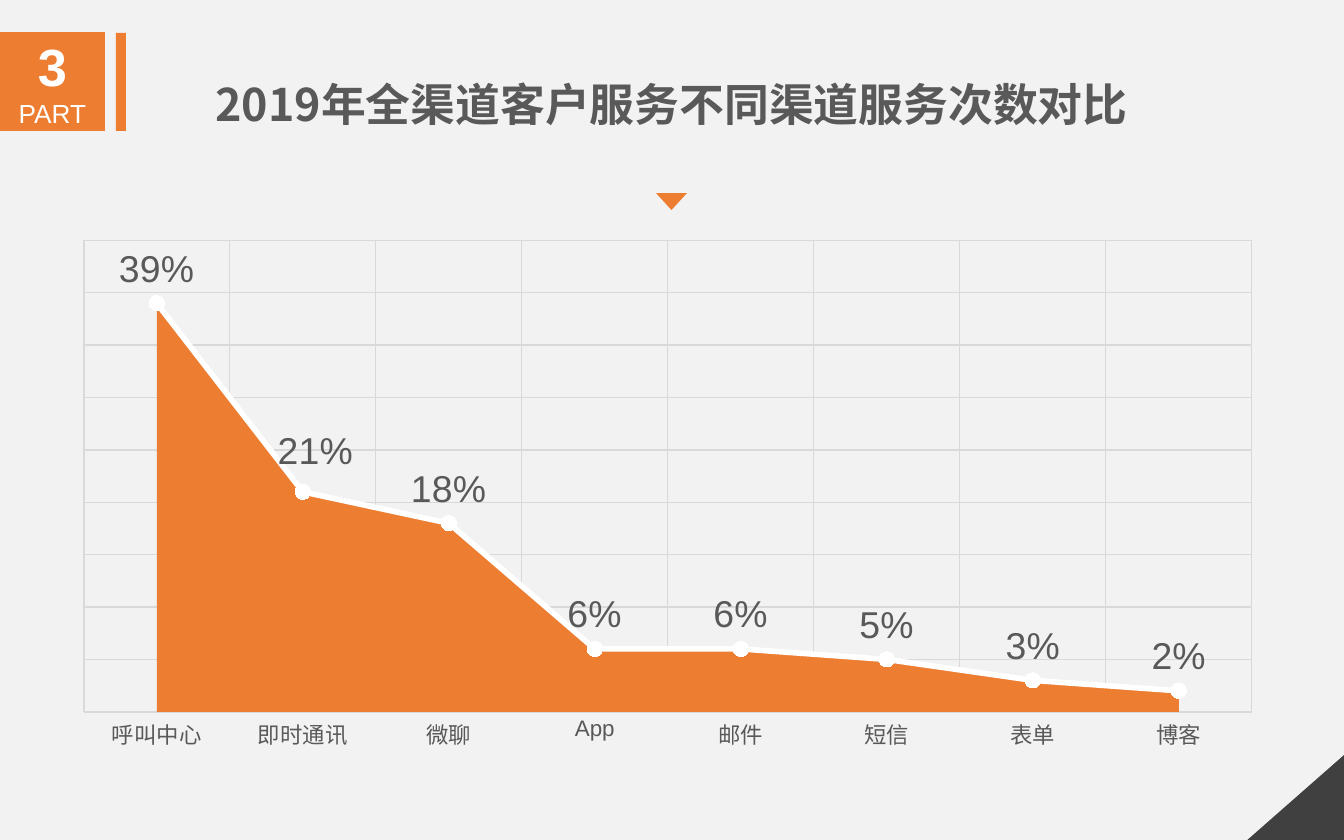
"""Build a slide comparing service volume across customer service channels."""
from lxml.etree import SubElement
from pptx import Presentation
from pptx.chart.data import CategoryChartData
from pptx.dml.color import RGBColor
from pptx.enum.chart import XL_CHART_TYPE, XL_LABEL_POSITION, XL_MARKER_STYLE, XL_TICK_MARK
from pptx.enum.shapes import MSO_SHAPE
from pptx.enum.text import MSO_ANCHOR, PP_ALIGN
from pptx.oxml import parse_xml
from pptx.oxml.ns import nsdecls, qn
from pptx.util import Pt

PX = 914400 / 134.4
ORANGE = RGBColor(0xED, 0x7D, 0x31)
WHITE = RGBColor(0xFF, 0xFF, 0xFF)
PALE = RGBColor(0xF2, 0xF2, 0xF2)
GRID = RGBColor(0xD9, 0xD9, 0xD9)
GRAY = RGBColor(0x59, 0x59, 0x59)
DARK = RGBColor(0x40, 0x40, 0x40)


def px(*lengths):
    return [round(length * PX) for length in lengths]


def write(para, text, *, size, color, font="Arial", bold=False):
    para.alignment = PP_ALIGN.CENTER
    span = para.add_run()
    span.text = text
    span.font.name, span.font.size, span.font.bold = font, Pt(size), bold
    span.font.color.rgb = color
    SubElement(span.font._element, qn("a:ea"), typeface=font)


deck = Presentation()
deck.slide_width, deck.slide_height = px(1344, 840)
page = deck.slides.add_slide(deck.slide_layouts[6])
page.background.fill.solid()
page.background.fill.fore_color.rgb = PALE

shapes = []
for kind, bounds, color, turn in (
    (MSO_SHAPE.RECTANGLE, (116, 33, 10, 98), ORANGE, 0),
    (MSO_SHAPE.RECTANGLE, (0, 32, 105, 99), ORANGE, 0),
    (MSO_SHAPE.RIGHT_TRIANGLE, (1251, 749, 87, 99), DARK, 270),
    (MSO_SHAPE.ISOSCELES_TRIANGLE, (656, 193, 31, 17), ORANGE, 180),
):
    shape = page.shapes.add_shape(kind, *px(*bounds))
    shape.shadow.inherit = False
    shape.fill.solid()
    shape.fill.fore_color.rgb = color
    shape.line.fill.background()
    shape.rotation = turn
    shapes.append(shape)

part = shapes[1].text_frame
part.margin_top = part.margin_bottom = 0
part.vertical_anchor = MSO_ANCHOR.MIDDLE
write(part.paragraphs[0], "3", size=28, color=WHITE, bold=True)
write(part.add_paragraph(), "PART", size=14, color=WHITE)

data = CategoryChartData(number_format="0%")
data.categories = ["呼叫中心", "即时通讯", "微聊", "App", "邮件", "短信", "表单", "博客"]
shares = [0.39, 0.21, 0.18, 0.06, 0.06, 0.05, 0.03, 0.02]
for name in ("Series 1", "Series 2"):
    data.add_series(name, shares)
chart = page.shapes.add_chart(XL_CHART_TYPE.LINE_MARKERS, *px(12, 222, 1260, 614), data).chart
chart.has_legend = chart.has_title = False
chart.font.name, chart.font.size = "Arial", Pt(10)

channels, values = chart.category_axis, chart.value_axis
channels.has_major_gridlines = values.has_major_gridlines = True
for line in (channels.format.line, channels.major_gridlines.format.line, values.major_gridlines.format.line):
    line.color.rgb = GRID
    line.width = Pt(0.75)
channels.major_tick_mark = channels.minor_tick_mark = XL_TICK_MARK.NONE
channels.tick_labels.font.name = "Arial"
channels.tick_labels.font.size = Pt(12)
channels.tick_labels.font.color.rgb = GRAY
values.minimum_scale, values.maximum_scale, values.major_unit = 0, 0.45, 0.05
values.visible = False

plot = chart.plots[0]
plot.vary_by_categories = False
area, trend = plot.series
area.format.fill.solid()
area.format.fill.fore_color.rgb = ORANGE
trend.smooth = False
trend.format.line.color.rgb = WHITE
trend.format.line.width = Pt(3)
trend.marker.style, trend.marker.size = XL_MARKER_STYLE.CIRCLE, 8
trend.marker.format.fill.solid()
trend.marker.format.fill.fore_color.rgb = WHITE
trend.marker.format.line.color.rgb = WHITE

labels = trend.data_labels
labels.show_value = True
labels.number_format, labels.number_format_is_linked = "0%", False
shifted = trend.points[1].data_label
for label in (labels, shifted):
    label.position = XL_LABEL_POSITION.ABOVE
    label.font.name, label.font.size = "Arial", Pt(20)
    label.font.color.rgb = GRAY
shifted_label = labels._element.find(qn("c:dLbl"))
shifted_label.find(qn("c:idx")).addnext(parse_xml(
    f'<c:layout {nsdecls("c")}><c:manualLayout><c:x val="0.01"/><c:y val="-0.01"/>'
    "</c:manualLayout></c:layout>"))

line_chart = plot._element
area_chart = parse_xml(
    f'<c:areaChart {nsdecls("c")}><c:grouping val="standard"/><c:varyColors val="0"/></c:areaChart>')
line_chart.addprevious(area_chart)
area_series = area._element
for tag in ("c:marker", "c:smooth"):
    for extra in area_series.findall(qn(tag)):
        area_series.remove(extra)
area_chart.append(area_series)
for axis in line_chart.findall(qn("c:axId")):
    SubElement(area_chart, qn("c:axId"), val=axis.get("val"))

value_axis = values._element
for crossing in value_axis.findall(qn("c:crossBetween")):
    value_axis.remove(crossing)
value_axis.find(qn("c:crosses")).addnext(parse_xml(f'<c:crossBetween {nsdecls("c")} val="between"/>'))

plot_area = line_chart.getparent()
for layout in plot_area.findall(qn("c:layout")):
    plot_area.remove(layout)
plot_area.insert(0, parse_xml(
    f'<c:layout {nsdecls("c")}><c:manualLayout><c:layoutTarget val="inner"/>'
    '<c:xMode val="edge"/><c:yMode val="edge"/><c:x val="0.057"/><c:y val="0.03"/>'
    '<c:w val="0.927"/><c:h val="0.768"/></c:manualLayout></c:layout>'))

title = page.shapes.add_textbox(*px(165, 70, 1013, 67)).text_frame
title.word_wrap = True
write(title.paragraphs[0], "2019年全渠道客户服务不同渠道服务次数对比",
      size=24, color=GRAY, font="Noto Sans CJK SC", bold=True)

deck.save("out.pptx")
